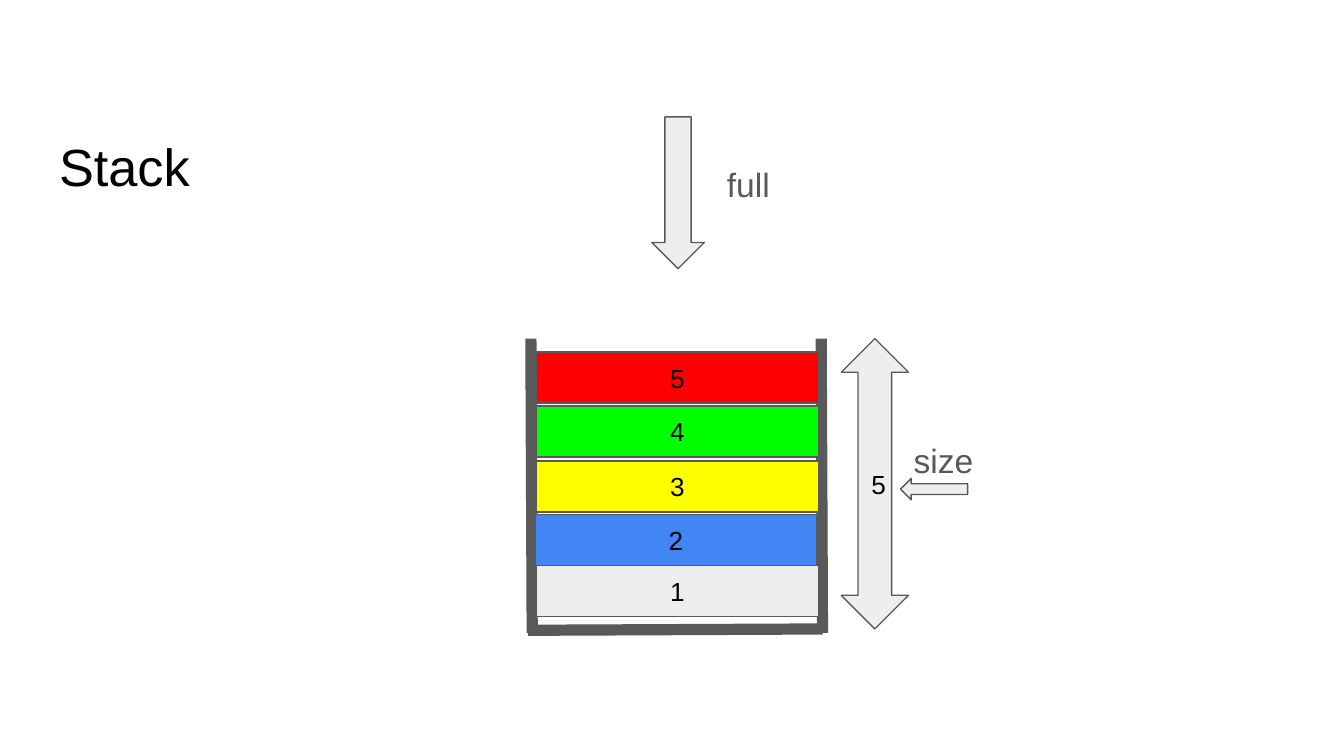
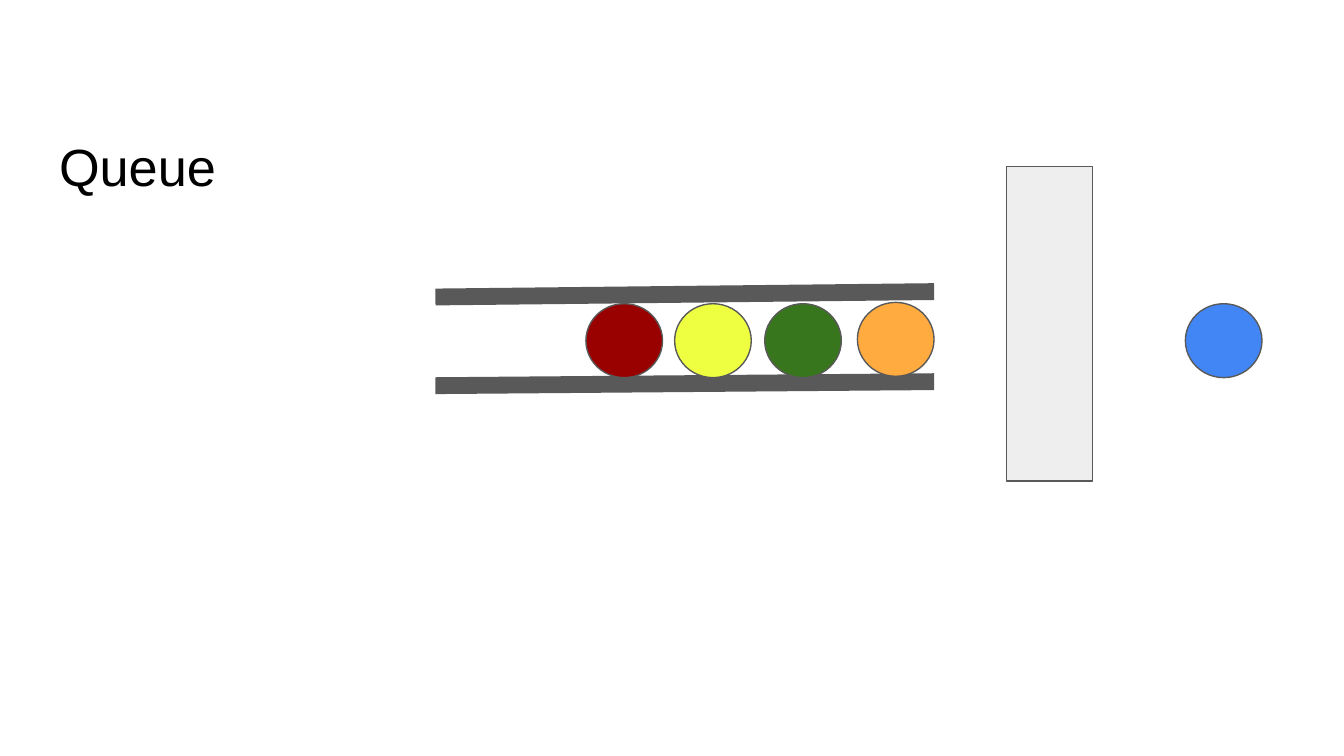
from lxml.etree import SubElement
from pptx import Presentation
from pptx.dml.color import RGBColor
from pptx.enum.shapes import MSO_CONNECTOR, MSO_SHAPE
from pptx.enum.text import MSO_ANCHOR, MSO_AUTO_SIZE, PP_ALIGN
from pptx.oxml.ns import qn
from pptx.util import Inches, Pt

FONT = "Arial"
BLACK = RGBColor(0x00, 0x00, 0x00)
DARK_GRAY = RGBColor(0x59, 0x59, 0x59)
LIGHT_GRAY = RGBColor(0xEE, 0xEE, 0xEE)
BLUE = RGBColor(0x42, 0x85, 0xF4)
RED = RGBColor(0xFF, 0x00, 0x00)
LIME = RGBColor(0x00, 0xFF, 0x00)
YELLOW = RGBColor(0xFF, 0xFF, 0x00)
DARK_RED = RGBColor(0x99, 0x00, 0x00)
LEMON = RGBColor(0xEE, 0xFF, 0x41)
GREEN = RGBColor(0x38, 0x76, 0x1D)
ORANGE = RGBColor(0xFF, 0xAB, 0x40)

BALL_WIDTH, BALL_HEIGHT = 0.57, 0.55


def write_text(sp, text, size, color, align, anchor):
    tf = sp.text_frame
    tf.word_wrap = True
    tf.auto_size = MSO_AUTO_SIZE.NONE
    tf.vertical_anchor = anchor
    tf.margin_left = tf.margin_right = Inches(0.1)
    tf.margin_top = tf.margin_bottom = Inches(0.1)
    p = tf.paragraphs[0]
    p.text = text
    p.alignment = align
    p.font.name = FONT
    p.font.size = Pt(size)
    p.font.color.rgb = color


def add_titled_slide(prs, title):
    s = prs.slides.add_slide(prs.slide_layouts[5])
    sp = s.shapes.title
    sp.left, sp.top = Inches(0.34), Inches(0.81)
    sp.width, sp.height = Inches(9.32), Inches(0.76)
    write_text(sp, title, 28, BLACK, PP_ALIGN.LEFT, MSO_ANCHOR.BOTTOM)
    return s


def add_figure(s, kind, left, top, width, height, fill=LIGHT_GRAY, text=None):
    sp = s.shapes.add_shape(kind, Inches(left), Inches(top),
                            Inches(width), Inches(height))
    sp.shadow.inherit = False
    sp.fill.solid()
    sp.fill.fore_color.rgb = fill
    sp.line.color.rgb = DARK_GRAY
    sp.line.width = Pt(0.75)
    if text:
        write_text(sp, text, 14, BLACK, PP_ALIGN.CENTER, MSO_ANCHOR.MIDDLE)


def add_wall(s, x1, y1, x2, y2, width):
    line = s.shapes.add_connector(MSO_CONNECTOR.STRAIGHT, Inches(x1),
                                  Inches(y1), Inches(x2), Inches(y2))
    line.line.color.rgb = DARK_GRAY
    line.line.width = Pt(width)
    SubElement(line._element.spPr, qn("a:effectLst"))


def add_label(s, text, left, top, width, height):
    sp = s.shapes.add_textbox(Inches(left), Inches(top),
                              Inches(width), Inches(height))
    write_text(sp, text, 18, DARK_GRAY, PP_ALIGN.LEFT, MSO_ANCHOR.TOP)


def add_ball(s, left, top, color):
    add_figure(s, MSO_SHAPE.OVAL, left, top, BALL_WIDTH, BALL_HEIGHT, color)


def build_stack(prs):
    s = add_titled_slide(prs, "Stack")
    for x1, y1, x2, y2 in ((3.95, 2.52, 3.96, 4.71),
                           (6.11, 2.52, 6.12, 4.71),
                           (6.12, 4.68, 3.93, 4.69)):
        add_wall(s, x1, y1, x2, y2, 6)

    layers = ((3.99, 4.21, LIGHT_GRAY), (3.98, 3.83, BLUE),
              (3.99, 3.43, YELLOW), (3.99, 3.02, LIME), (3.99, 2.62, RED))
    for number, (left, top, color) in enumerate(layers, 1):
        add_figure(s, MSO_SHAPE.RECTANGLE, left, top, 2.1, 0.38,
                   color, str(number))

    add_figure(s, MSO_SHAPE.UP_DOWN_ARROW, 6.26, 2.52, 0.5, 2.16,
               text=str(len(layers)))
    add_figure(s, MSO_SHAPE.LEFT_ARROW, 6.7, 3.56, 0.5, 0.16)
    add_label(s, "size", 6.7, 3.19, 0.69, 0.16)
    add_figure(s, MSO_SHAPE.DOWN_ARROW, 4.85, 0.87, 0.39, 1.13)
    add_label(s, "full", 5.31, 1.12, 0.8, 0.29)


def build_queue(prs):
    s = add_titled_slide(prs, "Queue")
    for y1, y2 in ((2.21, 2.17), (2.87, 2.84)):
        add_wall(s, 3.24, y1, 6.95, y2, 9)

    for left, top, color in ((6.38, 2.25, ORANGE), (5.69, 2.26, GREEN),
                             (5.02, 2.26, LEMON), (4.36, 2.26, DARK_RED)):
        add_ball(s, left, top, color)

    add_figure(s, MSO_SHAPE.RECTANGLE, 7.49, 1.24, 0.64, 2.34)
    add_ball(s, 8.82, 2.26, BLUE)


def main():
    prs = Presentation()
    prs.slide_width = Inches(10)
    prs.slide_height = prs.slide_width * 9 // 16
    build_stack(prs)
    build_queue(prs)
    prs.save("out.pptx")


if __name__ == "__main__":
    main()
